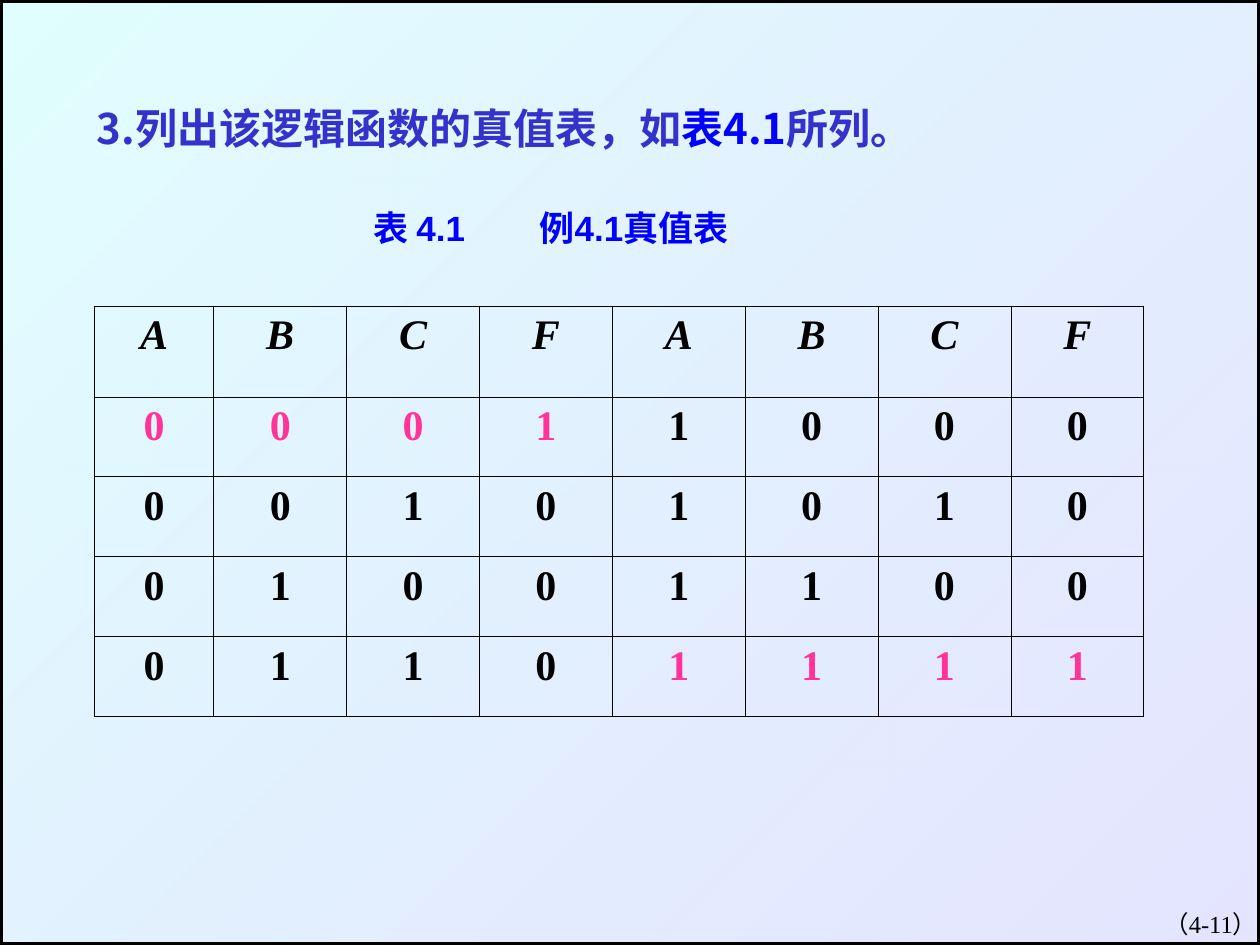
from dataclasses import dataclass

from lxml.etree import SubElement
from pptx import Presentation
from pptx.dml.color import RGBColor
from pptx.enum.shapes import MSO_SHAPE
from pptx.enum.text import MSO_ANCHOR, MSO_AUTO_SIZE, PP_ALIGN
from pptx.oxml.ns import qn
from pptx.util import Cm, Pt


@dataclass(frozen=True)
class Theme:
    ink: str = "000000"
    title: str = "3333CC"
    reference: str = "0000FF"
    highlight: str = "FF3399"
    backdrop: tuple = (("CCFFFF", 59), ("CCCCFF", 51))  # colour, opacity %
    serif: str = "Times New Roman"
    sans: str = "Arial"
    chinese: str = "Noto Sans CJK SC"
    body_size: int = 24
    caption_size: int = 20
    page_size: int = 14
    frame_width: float = 3
    rule_width: float = 0.45


THEME = Theme()
HEADINGS = "ABCF" * 2
TRUTH_ROWS = ("00011000", "00101010", "01001100", "01101111")
MINTERM_CELLS = {(1, column) for column in range(4)} | {(4, column) for column in range(4, 8)}


def style(paragraph, size, name, color, bold=True, italic=False):
    font = paragraph.font
    font.size, font.name, font.bold, font.italic = Pt(size), name, bold, italic
    font.color.rgb = RGBColor.from_string(color)
    defaults = paragraph._p.pPr.find(qn("a:defRPr"))
    SubElement(defaults, qn("a:ea"), typeface=THEME.chinese)


def add_backdrop(slide, left, top, width, height):
    shape = slide.shapes.add_shape(MSO_SHAPE.RECTANGLE, left, top, width, height)
    shape.shadow.inherit = False
    shape.fill.gradient()
    shape.fill.gradient_angle = 315
    for stop, (color, opacity) in zip(shape.fill.gradient_stops, THEME.backdrop):
        stop.color.rgb = RGBColor.from_string(color)
    colors = shape._element.spPr.iter(qn("a:srgbClr"))
    for element, (color, opacity) in zip(list(colors), THEME.backdrop):
        SubElement(element, qn("a:alpha"), val=str(opacity * 1000))
    shape.line.color.rgb = RGBColor.from_string(THEME.ink)
    shape.line.width = Pt(THEME.frame_width)
    slide.shapes._spTree.insert(2, shape._element)  # send behind the title


def place_title(slide, left, top, width, height):
    title = slide.shapes.title
    title.left, title.top, title.width, title.height = left, top, width, height
    frame = title.text_frame
    frame.word_wrap = True
    frame.auto_size = MSO_AUTO_SIZE.NONE
    frame.vertical_anchor = MSO_ANCHOR.TOP
    paragraph = frame.paragraphs[0]
    paragraph.alignment = PP_ALIGN.LEFT
    style(paragraph, THEME.body_size, THEME.chinese, THEME.title)
    for text, color in (
        ("3.列出该逻辑函数的真值表，如", THEME.title),
        ("表4.1", THEME.reference),
        ("所列。", THEME.title),
    ):
        run = paragraph.add_run()
        run.text = text
        run.font.color.rgb = RGBColor.from_string(color)


def add_caption(slide, left, top, width, height):
    frame = slide.shapes.add_textbox(left, top, width, height).text_frame
    frame.word_wrap = True
    paragraph = frame.paragraphs[0]
    paragraph.text = "表 4.1\t例4.1真值表"
    tabs = SubElement(paragraph._p.get_or_add_pPr(), qn("a:tabLst"))
    SubElement(tabs, qn("a:tab"), pos=str(Cm(3.35)), algn="l")
    style(paragraph, THEME.caption_size, THEME.sans, THEME.reference)


def format_cell(cell, text, color, italic):
    properties = cell._tc.get_or_add_tcPr()
    for side in ("lnL", "lnR", "lnT", "lnB"):
        line = SubElement(properties, qn(f"a:{side}"), w=str(Pt(THEME.rule_width)))
        fill = SubElement(line, qn("a:solidFill"))
        SubElement(fill, qn("a:srgbClr"), val=THEME.ink)
    cell.fill.background()
    cell.vertical_anchor = MSO_ANCHOR.TOP
    paragraph = cell.text_frame.paragraphs[0]
    paragraph.text = text
    paragraph.alignment = PP_ALIGN.CENTER
    style(paragraph, THEME.body_size, THEME.serif, color, italic=italic)


def add_truth_table(slide, left, top, width, height):
    rows = (HEADINGS, *TRUTH_ROWS)
    table = slide.shapes.add_table(
        len(rows), len(HEADINGS), left, top, width, height
    ).table
    table.first_row = table.horz_banding = False

    # The first column is narrower and the first row taller than the rest
    first_width, first_height = Cm(2.41), Cm(1.83)
    for index, column in enumerate(table.columns):
        column.width = (width - first_width) // (len(HEADINGS) - 1) if index else first_width
    for index, row in enumerate(table.rows):
        row.height = (height - first_height) // len(TRUTH_ROWS) if index else first_height

    for row, values in enumerate(rows):
        for column, value in enumerate(values):
            color = THEME.highlight if (row, column) in MINTERM_CELLS else THEME.ink
            format_cell(table.cell(row, column), value, color, italic=row == 0)


def add_page_number(slide, left, top, width, height):
    frame = slide.shapes.add_textbox(left, top, width, height).text_frame
    frame.word_wrap = True
    paragraph = frame.paragraphs[0]
    paragraph.text = "（4-11）"
    paragraph.alignment = PP_ALIGN.RIGHT
    style(paragraph, THEME.page_size, THEME.serif, THEME.ink, bold=False)


def main():
    presentation = Presentation()
    presentation.slide_width, presentation.slide_height = Cm(25.4), Cm(19.05)
    slide = presentation.slides.add_slide(presentation.slide_layouts[5])

    add_backdrop(slide, 0, 0, presentation.slide_width, presentation.slide_height)
    place_title(slide, Cm(1.7), Cm(1.93), Cm(23), Cm(1.5))
    add_caption(slide, Cm(7.28), Cm(4.04), Cm(9), Cm(1.2))
    add_truth_table(slide, Cm(1.9), Cm(6.17), Cm(21.16), Cm(8.27))
    add_page_number(slide, Cm(20.32), Cm(18.21), Cm(5.28), Cm(1.27))

    presentation.save("out.pptx")


if __name__ == "__main__":
    main()
